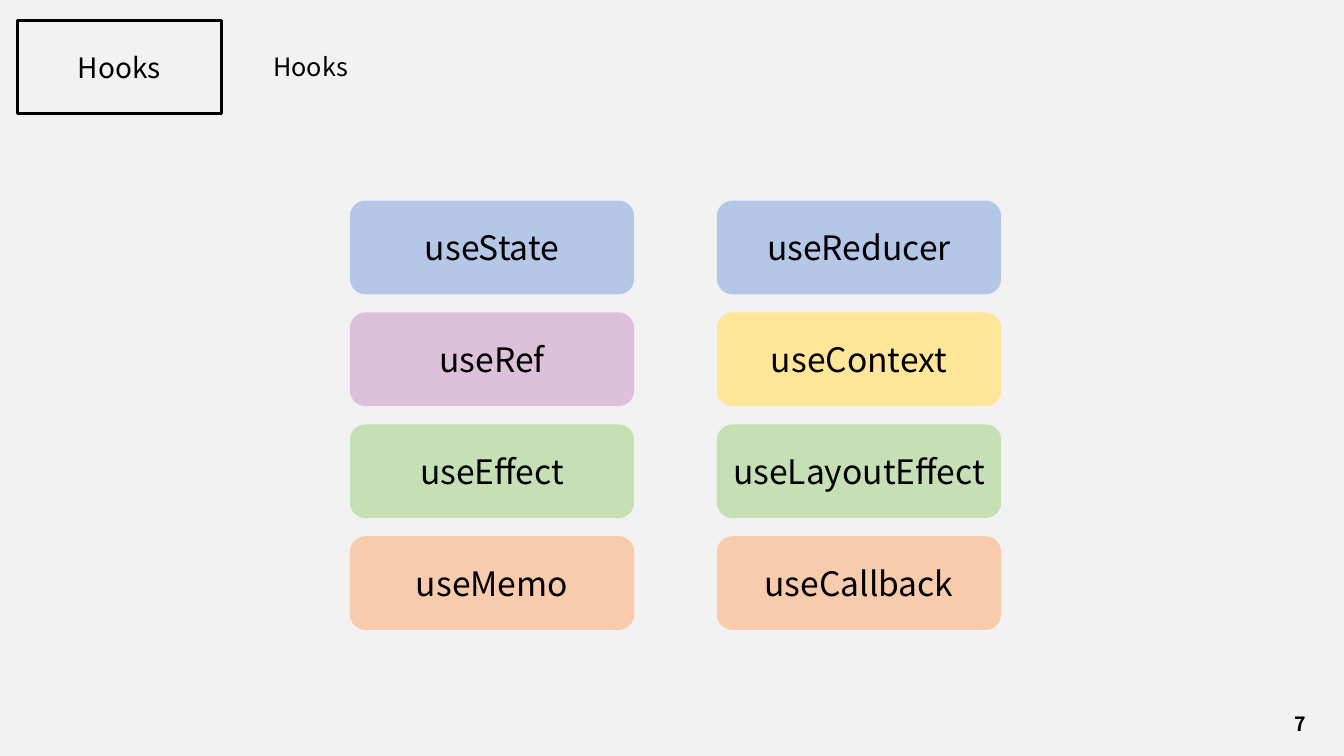
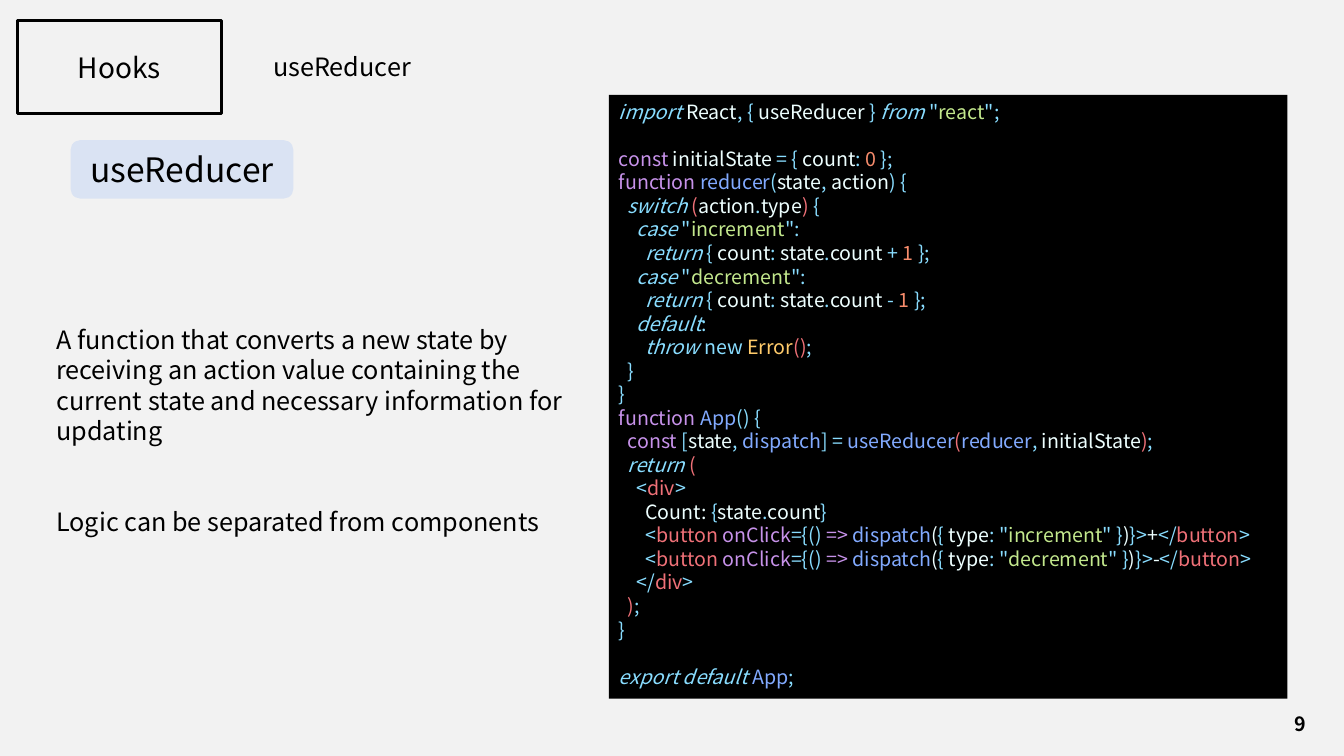
import pptx
import pptx.dml.color
import pptx.enum.shapes
import pptx.enum.text
import pptx.util
from dataclasses import dataclass

Inches, Pt = pptx.util.Inches, pptx.util.Pt
RGBColor = pptx.dml.color.RGBColor
Shape = pptx.enum.shapes.MSO_SHAPE
Align = pptx.enum.text.PP_ALIGN
Anchor = pptx.enum.text.MSO_ANCHOR


@dataclass(frozen=True)
class Theme:
    font: str = "Noto Sans CJK KR"
    background: str = "F2F2F2"
    ink: str = "000000"
    state: str = "B4C7E7"
    state_light: str = "DAE3F3"
    ref: str = "DDC1DB"
    context: str = "FFE699"
    effect: str = "C5E0B4"
    memo: str = "F8CBAD"
    card_size: int = 24
    badge_size: int = 20
    body_size: int = 18
    small_size: int = 14
    body_gap: float = 43.2
    code_gap: float = 16.8


THEME = Theme()

FLOW, MARK, NAME, WORD, CALL, TAG, TEXT, NUMBER, CLASS = range(9)
CODE_COLORS = {
    FLOW: "89DDFF", MARK: "89DDFF", NAME: "EEFFFF", WORD: "C792EA", CALL: "82AAFF",
    TAG: "F07178", TEXT: "C3E88D", NUMBER: "F78C6C", CLASS: "FFCB6B",
}

SECTION = "Hooks"
HOOK_ROWS = [
    [("useState", THEME.state), ("useReducer", THEME.state)],
    [("useRef", THEME.ref), ("useContext", THEME.context)],
    [("useEffect", THEME.effect), ("useLayoutEffect", THEME.effect)],
    [("useMemo", THEME.memo), ("useCallback", THEME.memo)],
]
DESCRIPTION = [
    "A function that converts a new state by receiving an action value containing "
    "the current state and necessary information for updating",
    "Logic can be separated from components",
]


def case_lines(action, sign):
    return [
        [(FLOW, "    case "), (MARK, '"'), (TEXT, action), (MARK, '":')],
        [(FLOW, "      return "), (MARK, "{ "), (NAME, "count"), (MARK, ": "), (NAME, "state"),
         (MARK, "."), (NAME, "count "), (MARK, sign + " "), (NUMBER, "1 "), (MARK, "};")],
    ]


def button_line(action, sign):
    return [
        (MARK, "      <"), (TAG, "button "), (WORD, "onClick"), (MARK, "={() "), (WORD, "=> "),
        (CALL, "dispatch"), (NAME, "("), (MARK, "{"), (NAME, " type"), (MARK, ': "'),
        (TEXT, action), (MARK, '" }'), (NAME, ")"), (MARK, "}>"), (NAME, sign),
        (MARK, "</"), (TAG, "button"), (MARK, ">"),
    ]


CODE_BLOCKS = [
    [
        [(FLOW, "import"), (NAME, " React"), (MARK, ", { "), (NAME, "useReducer "), (MARK, "} "),
         (FLOW, "from "), (MARK, '"'), (TEXT, "react"), (MARK, '";')],
    ],
    [
        [(WORD, "const"), (NAME, " initialState "), (MARK, "= {"), (NAME, " count"), (MARK, ": "),
         (NUMBER, "0 "), (MARK, "};")],
        [(WORD, "function "), (CALL, "reducer"), (MARK, "("), (NAME, "state"), (MARK, ","),
         (NAME, " action"), (MARK, ") {")],
        [(FLOW, "  switch"), (TAG, " ("), (NAME, "action"), (MARK, "."), (NAME, "type"),
         (TAG, ") "), (MARK, "{")],
        *case_lines("increment", "+"),
        *case_lines("decrement", "-"),
        [(FLOW, "    default"), (MARK, ":")],
        [(FLOW, "      throw "), (MARK, "new "), (CLASS, "Error"), (TAG, "()"), (MARK, ";")],
        [(MARK, "  }")],
        [(MARK, "}")],
        [(WORD, "function "), (CALL, "App"), (MARK, "() {")],
        [(WORD, "  const "), (MARK, "["), (NAME, "state"), (MARK, ", "), (CALL, "dispatch"),
         (MARK, "] = "), (CALL, "useReducer"), (TAG, "("), (CALL, "reducer"), (MARK, ", "),
         (NAME, "initialState"), (TAG, ")"), (MARK, ";")],
        [(FLOW, "  return"), (TAG, " (")],
        [(MARK, "    <"), (TAG, "div"), (MARK, ">")],
        [(NAME, "      Count: "), (MARK, "{"), (NAME, "state"), (MARK, "."), (NAME, "count"),
         (MARK, "}")],
        button_line("increment", "+"),
        button_line("decrement", "-"),
        [(MARK, "    </"), (TAG, "div"), (MARK, ">")],
        [(TAG, "  )"), (MARK, ";")],
        [(MARK, "}")],
    ],
    [
        [(FLOW, "export default "), (CALL, "App"), (MARK, ";")],
    ],
]


def color(value):
    return RGBColor.from_string(value)


def style(para, size, align=Align.LEFT, bold=False):
    para.alignment = align
    para.font.name = THEME.font
    para.font.size = Pt(size)
    para.font.bold = bold
    para.font.color.rgb = color(THEME.ink)


def place(box, left, top, width, height):
    box.left, box.top = Inches(left), Inches(top)
    box.width, box.height = Inches(width), Inches(height)


def write(box, texts, size, align=Align.LEFT, anchor=Anchor.TOP, bold=False, gap=0):
    frame = box.text_frame
    frame.word_wrap = True
    frame.auto_size = pptx.enum.text.MSO_AUTO_SIZE.NONE
    frame.vertical_anchor = anchor
    for index, text in enumerate(texts):
        para = frame.add_paragraph() if index else frame.paragraphs[0]
        para.text = text
        style(para, size, align, bold)
        if index:
            para.space_before = Pt(gap)


def add_box(page, area, kind=Shape.RECTANGLE, fill=None, line_width=0):
    box = page.shapes.add_shape(kind, *map(Inches, area))
    box.shadow.inherit = False
    if fill:
        box.fill.solid()
        box.fill.fore_color.rgb = color(fill)
    else:
        box.fill.background()
    if line_width:
        box.line.color.rgb = color(THEME.ink)
        box.line.width = Pt(line_width)
    else:
        box.line.fill.background()
    return box


def add_text(page, area, texts, size, **options):
    write(page.shapes.add_textbox(*map(Inches, area)), texts, size, **options)


def add_card(page, area, text, fill):
    card = add_box(page, area, Shape.ROUNDED_RECTANGLE, fill)
    write(card, [text], THEME.card_size, Align.CENTER, Anchor.MIDDLE)


def add_code(page, area):
    panel = add_box(page, area, fill=THEME.ink)
    frame = panel.text_frame
    frame.word_wrap = True
    frame.vertical_anchor = Anchor.TOP
    para = None
    for block in CODE_BLOCKS:
        for index, line in enumerate(block):
            first = para is None
            para = frame.paragraphs[0] if first else frame.add_paragraph()
            style(para, THEME.small_size)
            if index == 0 and not first:
                para.space_before = Pt(THEME.code_gap)
            for role, text in line:
                span = para.add_run()
                span.text = text
                span.font.color.rgb = color(CODE_COLORS[role])
                if role == FLOW:
                    span.font.italic = True


def add_page(deck, title, number):
    page = deck.slides.add_slide(deck.slide_layouts.get_by_name("Title Only"))
    place(page.shapes.title, 2.61, 0.46, 3.64, 0.4)
    write(page.shapes.title, [title], THEME.body_size)
    badge = add_box(page, (0.17, 0.2, 2.03, 0.93), line_width=2)
    write(badge, [SECTION], THEME.badge_size, Align.CENTER, Anchor.MIDDLE)
    add_text(page, (12.65, 6.98, 0.49, 0.4), [str(number)], THEME.small_size,
             align=Align.CENTER, anchor=Anchor.MIDDLE, bold=True)
    return page


def build_overview(deck):
    page = add_page(deck, "Hooks", 7)
    for row, hooks in enumerate(HOOK_ROWS):
        for column, (name, fill) in enumerate(hooks):
            area = (3.47 + column * 3.64, 1.99 + row * 1.11, 2.82, 0.93)
            add_card(page, area, name, fill)


def build_reducer(deck):
    page = add_page(deck, "useReducer", 9)
    add_card(page, (0.7, 1.39, 2.21, 0.58), "useReducer", THEME.state_light)
    add_text(page, (0.46, 3.17, 5.34, 1.92), DESCRIPTION, THEME.body_size, gap=THEME.body_gap)
    add_code(page, (6.04, 0.94, 6.73, 5.99))


def main():
    deck = pptx.Presentation()
    deck.slide_width, deck.slide_height = Inches(13.33), Inches(7.5)
    backdrop = deck.slide_master.background.fill
    backdrop.solid()
    backdrop.fore_color.rgb = color(THEME.background)
    build_overview(deck)
    build_reducer(deck)
    deck.save("out.pptx")


if __name__ == "__main__":
    main()
